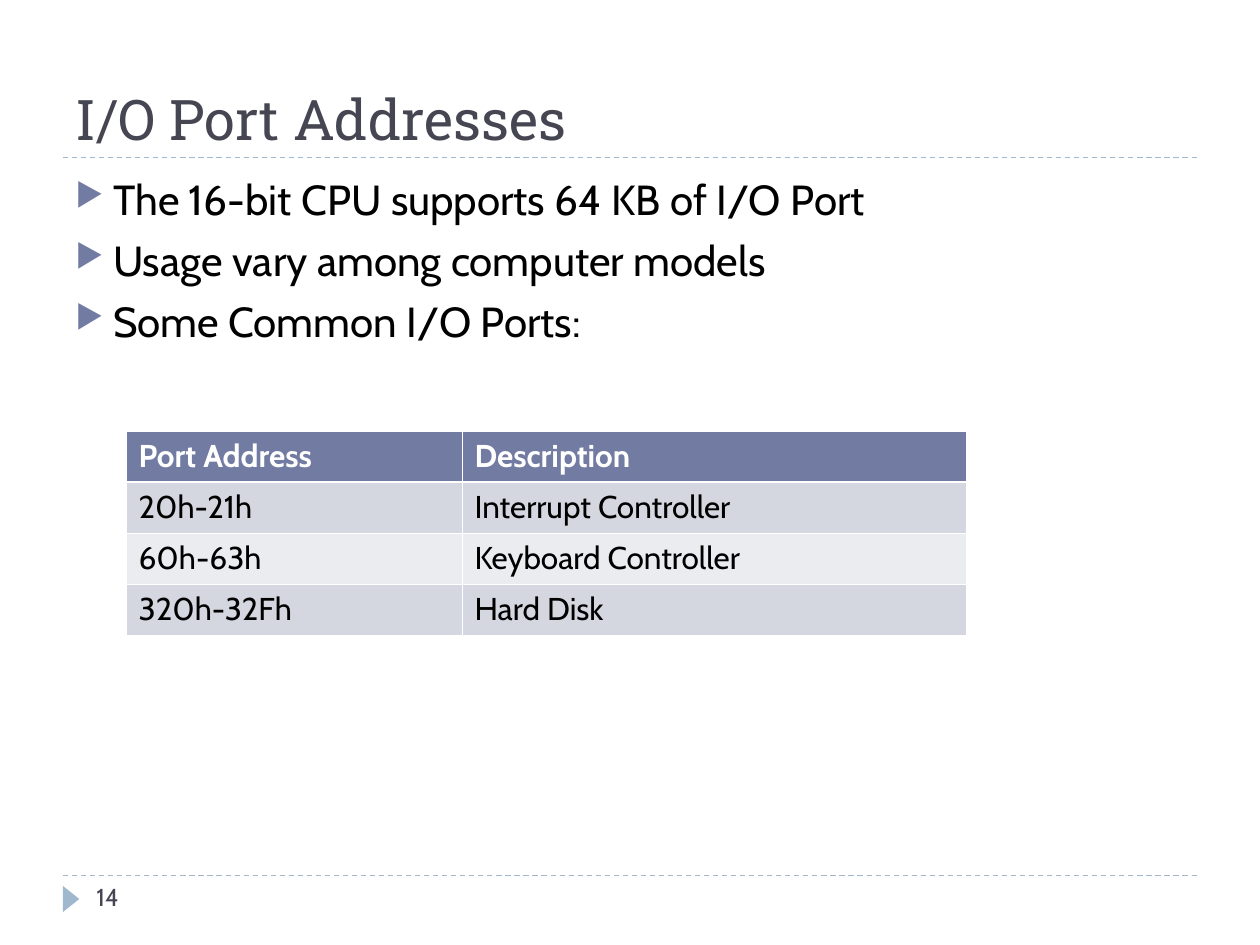
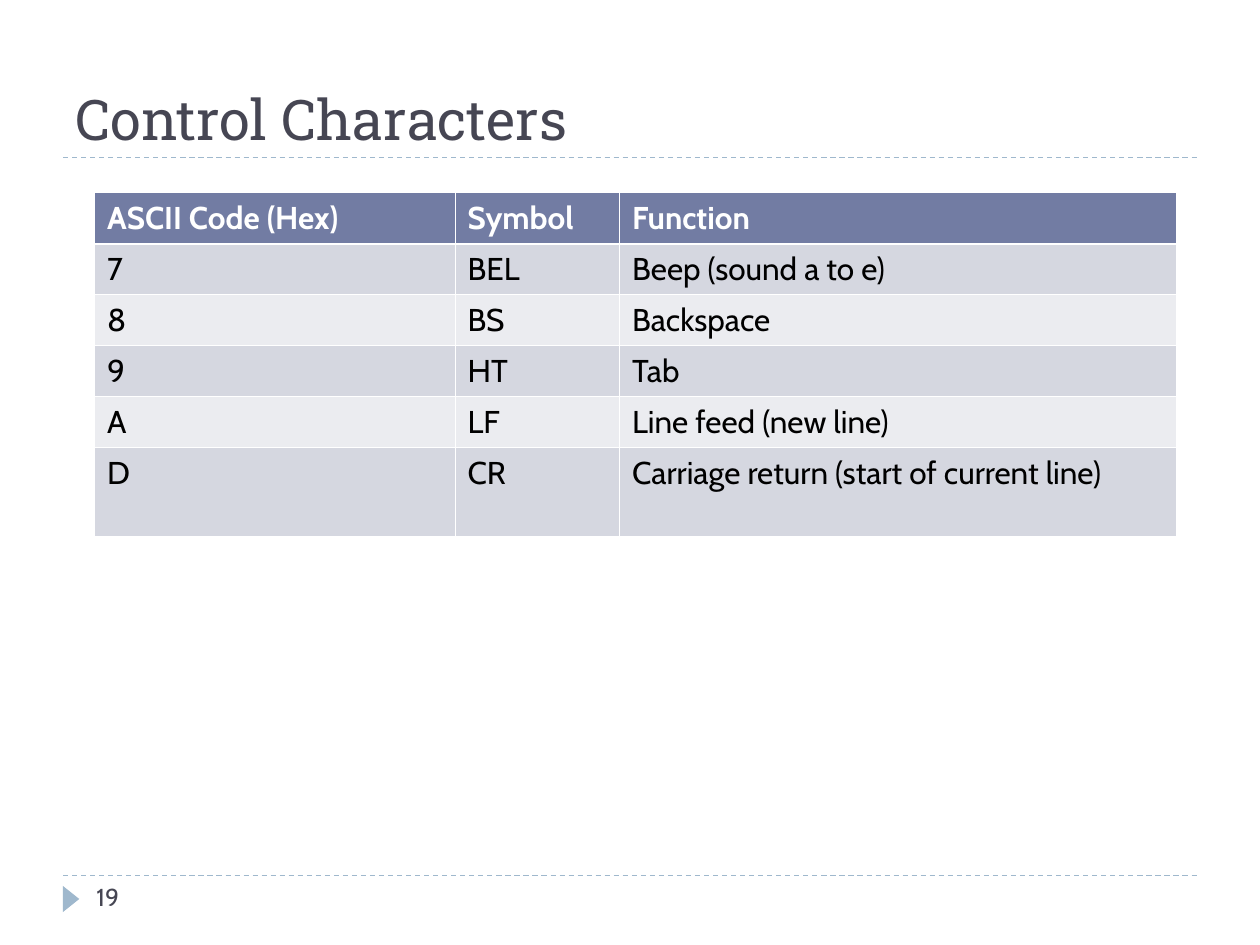
from lxml import etree
from pptx import Presentation
from pptx.dml.color import RGBColor
from pptx.enum.dml import MSO_LINE
from pptx.enum.shapes import MSO_CONNECTOR, MSO_SHAPE
from pptx.enum.text import MSO_ANCHOR
from pptx.oxml.ns import qn
from pptx.util import Pt

STRAIGHT = MSO_CONNECTOR.STRAIGHT
TRIANGLE = MSO_SHAPE.ISOSCELES_TRIANGLE
DASH = MSO_LINE.DASH
TOP, BOTTOM = MSO_ANCHOR.TOP, MSO_ANCHOR.BOTTOM

# Shared look
HEADING_FONT, BODY_FONT = "Roboto Slab", "Cabin"
SLATE, PALE_BLUE, ACCENT = "464653", "9FB8CD", "727CA3"
BAND_DARK, BAND_LIGHT = "D5D7E0", "EBECF0"
BLACK, WHITE = "000000", "FFFFFF"
MARGIN, CONTENT_WIDTH = 36, 648
TITLE_RULE, FOOTER_RULE = 90, 500.4
ROW_HEIGHT = 29.16

# Slide content
SLIDES = [
    {
        "title": "I/O Port Addresses",
        "number": "14",
        "bullets": [
            "The 16-bit CPU supports 64 KB of I/O Port",
            "Usage vary among computer models",
            "Some Common I/O Ports:",
        ],
        "table_position": (72, 246.24),
        "column_widths": [192, 288],
        "last_row_height": ROW_HEIGHT,
        "rows": [
            ["Port Address", "Description"],
            ["20h-21h", "Interrupt Controller"],
            ["60h-63h", "Keyboard Controller"],
            ["320h-32Fh", "Hard Disk"],
        ],
    },
    {
        "title": "Control Characters",
        "number": "19",
        "bullets": [],
        "table_position": (54, 110.16),
        "column_widths": [206, 94, 318],
        "last_row_height": 50.4,
        "rows": [
            ["ASCII Code (Hex)", "Symbol", "Function"],
            ["7", "BEL", "Beep (sound a to e)"],
            ["8", "BS", "Backspace"],
            ["9", "HT", "Tab"],
            ["A", "LF", "Line feed (new line)"],
            ["D", "CR", "Carriage return (start of current line)"],
        ],
    },
]


def color(hex_string):
    return RGBColor.from_string(hex_string)


def add_run(paragraph, text, font_name, size, hex_string, bold=False):
    run = paragraph.add_run()
    run.text = text
    run.font.name = font_name
    run.font.size = Pt(size)
    run.font.bold = bold
    run.font.color.rgb = color(hex_string)


presentation = Presentation()
presentation.slide_width = Pt(720)
presentation.slide_height = Pt(540)

for content in SLIDES:
    slide = presentation.slides.add_slide(presentation.slide_layouts[6])

    # Dashed rules above the footer and below the title
    for rule_top in (FOOTER_RULE, TITLE_RULE):
        rule = slide.shapes.add_connector(
            STRAIGHT, Pt(MARGIN), Pt(rule_top), Pt(MARGIN + CONTENT_WIDTH), Pt(rule_top))
        rule.line.color.rgb = color(PALE_BLUE)
        rule.line.width = Pt(0.75)
        rule.line.dash_style = DASH
        etree.SubElement(rule._element.spPr, qn("a:effectLst"))

    # Footer marker
    marker = slide.shapes.add_shape(TRIANGLE, Pt(33.1), Pt(509), Pt(15), Pt(9.4))
    marker.rotation = 90
    marker.shadow.inherit = False
    marker.fill.solid()
    marker.fill.fore_color.rgb = color(PALE_BLUE)
    marker.line.fill.background()

    # Title and slide number
    for text, box, anchor, font_name, size in (
        (content["title"], (MARGIN, 12.24, CONTENT_WIDTH, 77.76), BOTTOM, HEADING_FONT, 32),
        (content["number"], (48, FOOTER_RULE, 156, 28.8), TOP, BODY_FONT, 14),
    ):
        frame = slide.shapes.add_textbox(*map(Pt, box)).text_frame
        frame.word_wrap = True
        frame.vertical_anchor = anchor
        add_run(frame.paragraphs[0], text, font_name, size, SLATE)

    # Bulleted list
    if content["bullets"]:
        bullet_box = slide.shapes.add_textbox(Pt(MARGIN), Pt(95.76), Pt(CONTENT_WIDTH), Pt(132))
        frame = bullet_box.text_frame
        frame.word_wrap = True
        for index, text in enumerate(content["bullets"]):
            paragraph = frame.add_paragraph() if index else frame.paragraphs[0]
            properties = paragraph._p.get_or_add_pPr()
            properties.set("marL", str(Pt(21.6)))
            properties.set("indent", str(Pt(-21.6)))
            bullet_color = etree.SubElement(properties, qn("a:buClr"))
            etree.SubElement(bullet_color, qn("a:srgbClr"), val=ACCENT)
            etree.SubElement(properties, qn("a:buSzPct"), val="76000")
            etree.SubElement(properties, qn("a:buChar"), char="▶")
            if index:
                paragraph.space_before = Pt(6)
            add_run(paragraph, text, BODY_FONT, 24, BLACK)

    # Table
    rows, widths = content["rows"], content["column_widths"]
    heights = [ROW_HEIGHT] * (len(rows) - 1) + [content["last_row_height"]]
    left, top = content["table_position"]
    table = slide.shapes.add_table(
        len(rows), len(widths), Pt(left), Pt(top), Pt(sum(widths)), Pt(sum(heights))).table
    for column, width in zip(table.columns, widths):
        column.width = Pt(width)
    for row_index, texts in enumerate(rows):
        table.rows[row_index].height = Pt(heights[row_index])
        is_header = row_index == 0
        band = ACCENT if is_header else BAND_DARK if row_index % 2 else BAND_LIGHT
        for column_index, text in enumerate(texts):
            cell = table.cell(row_index, column_index)
            # White borders, heavier between header and body
            cell_properties = cell._tc.get_or_add_tcPr()
            for side in ("lnL", "lnR", "lnT", "lnB"):
                heavy = (row_index, side) in ((0, "lnB"), (1, "lnT"))
                border = etree.SubElement(
                    cell_properties, qn("a:" + side), w=str(Pt(1.47 if heavy else 0.45)))
                border_fill = etree.SubElement(border, qn("a:solidFill"))
                etree.SubElement(border_fill, qn("a:srgbClr"), val=WHITE)
            cell.fill.solid()
            cell.fill.fore_color.rgb = color(band)
            add_run(cell.text_frame.paragraphs[0], text, BODY_FONT, 18,
                    WHITE if is_header else BLACK, is_header)

presentation.save("out.pptx")
